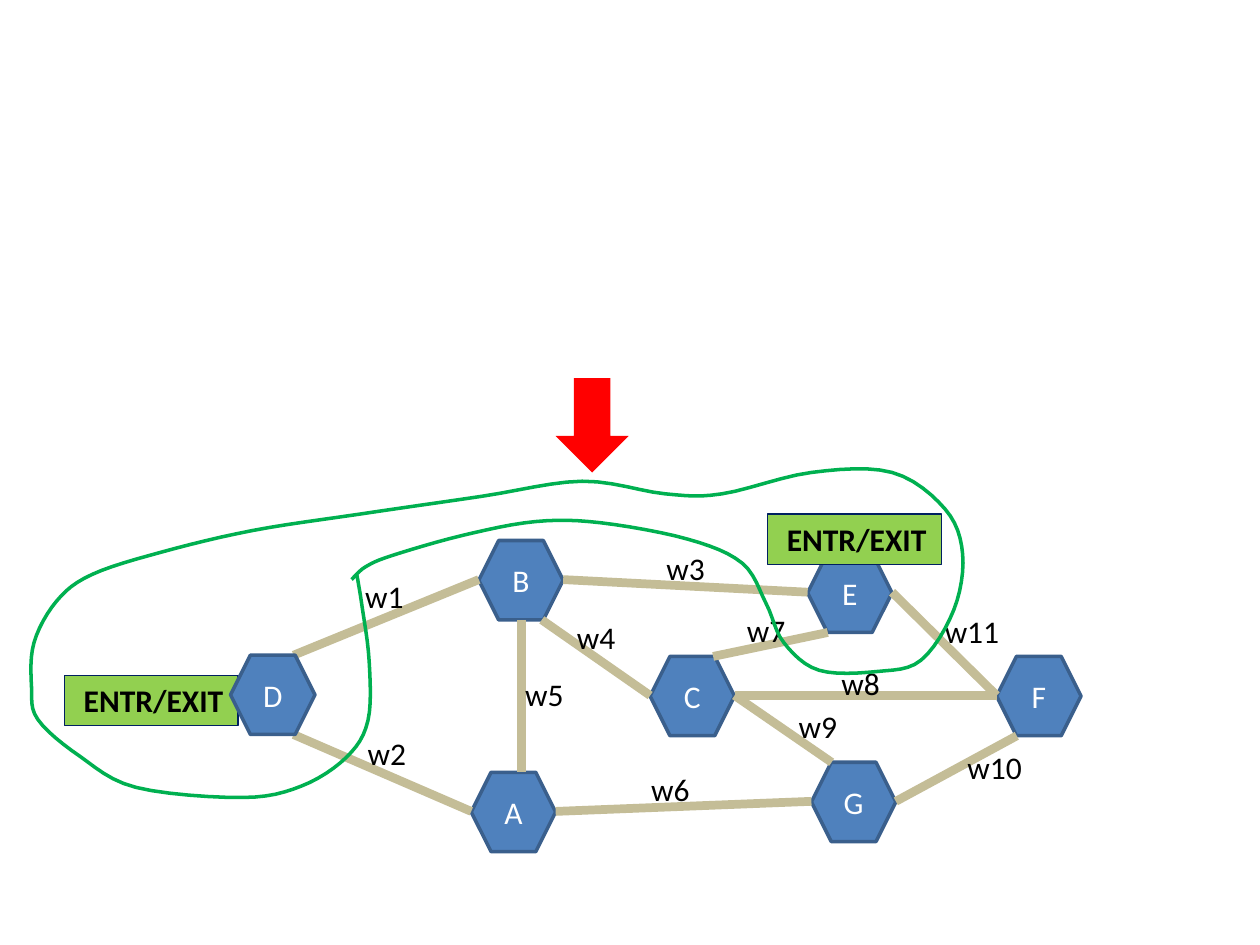
"""Build a slide with a weighted node graph and an outlined region."""
from typing import NamedTuple

from lxml.etree import SubElement
from pptx import Presentation
from pptx.dml.color import RGBColor
from pptx.enum.shapes import MSO_CONNECTOR, MSO_SHAPE
from pptx.enum.text import MSO_ANCHOR, MSO_AUTO_SIZE, PP_ALIGN
from pptx.oxml.ns import qn
from pptx.util import Emu, Pt

PX = 9144
FONT = "Calibri"
NODE_W, NODE_H = 67, 63
CURVE_STEPS = 6
COLORS = {
    "node": "4F81BD", "node_line": "3A5F8C", "edge": "C4BD97",
    "gate": "92D050", "gate_line": "002060", "arrow": "FF0000",
    "region": "00B050", "black": "000000", "white": "FFFFFF",
}
SITES = {
    "left": (0, 31), "right": (NODE_W, 31), "top": (40, 0), "bottom": (34, NODE_H),
    "top left": (16, 0), "top right": (50, 0),
    "bottom left": (16, NODE_H), "bottom right": (50, NODE_H),
}


class Spot(NamedTuple):
    text: str
    x: int
    y: int


class Edge(NamedTuple):
    start: str
    start_site: str
    end: str
    end_site: str


NODES = [
    Spot("B", 380, 429), Spot("A", 374, 613), Spot("F", 791, 521),
    Spot("C", 516, 521), Spot("G", 644, 605), Spot("E", 641, 439),
]
NODE_D = Spot("D", 183, 520)
NODE_BY_NAME = {node.text: node for node in [*NODES, NODE_D]}
EDGES = [
    Edge("D", "top right", "B", "left"), Edge("D", "bottom right", "A", "left"),
    Edge("B", "bottom", "A", "top"), Edge("F", "bottom left", "G", "right"),
    Edge("B", "right", "E", "left"), Edge("G", "left", "A", "right"),
    Edge("C", "left", "B", "bottom right"), Edge("C", "right", "G", "top left"),
    Edge("E", "bottom left", "C", "top right"), Edge("E", "right", "F", "left"),
    Edge("C", "right", "F", "left"),
]
WEIGHTS = [
    Spot("w1", 280, 453), Spot("w2", 282, 578), Spot("w8", 658, 522),
    Spot("w4", 448, 486), Spot("w3", 519, 431), Spot("w7", 583, 480),
    Spot("w5", 407, 531), Spot("w6", 507, 606), Spot("w10", 758, 589),
    Spot("w11", 740, 481), Spot("w9", 624, 556),
]
GATE_D = Spot(" ENTR/EXIT", 51, 536)
GATE_E = Spot(" ENTR/EXIT", 609, 408)
REGION = [
    (283, 455), (287, 479), (293, 525), (292, 572), (275, 601), (239, 624),
    (192, 633), (108, 625), (63, 600), (30, 571), (25, 545), (27, 510),
    (45, 477), (73, 456), (129, 438), (201, 421), (286, 408), (382, 394),
    (462, 382), (528, 392), (573, 392), (644, 375), (708, 375), (750, 404),
    (764, 440), (757, 484), (731, 524), (696, 533), (650, 532), (622, 510),
    (608, 479), (589, 447), (546, 428), (477, 415), (425, 414), (367, 425),
    (311, 441), (290, 450), (279, 460),
]


def rgb(name: str) -> RGBColor:
    return RGBColor.from_string(COLORS[name])


def add_line_style(sp, color: str, width: float) -> None:
    sp.line.color.rgb = rgb(color)
    sp.line.width = Pt(width)


def add_run(tf, text: str, color: str, bold: bool = False):
    p = tf.paragraphs[0]
    r = p.add_run()
    r.text = text
    r.font.name, r.font.size, r.font.bold = FONT, Pt(18), bold
    r.font.color.rgb = rgb(color)
    return p


def fit_text(tf) -> None:
    tf.word_wrap = False
    tf.auto_size = MSO_AUTO_SIZE.SHAPE_TO_FIT_TEXT


def add_filled(shapes, kind: MSO_SHAPE, box: tuple[int, ...], fill: str):
    sp = shapes.add_shape(kind, *(Emu(v * PX) for v in box))
    sp.shadow.inherit = False
    sp.fill.solid()
    sp.fill.fore_color.rgb = rgb(fill)
    return sp


def add_node(shapes, node: Spot) -> None:
    sp = add_filled(shapes, MSO_SHAPE.HEXAGON, (node.x, node.y, NODE_W, NODE_H), "node")
    add_line_style(sp, "node_line", 2)
    sp.text_frame.vertical_anchor = MSO_ANCHOR.MIDDLE
    add_run(sp.text_frame, node.text, "white").alignment = PP_ALIGN.CENTER


def site_point(name: str, site: str) -> tuple[int, int]:
    node, (dx, dy) = NODE_BY_NAME[name], SITES[site]
    return node.x + dx, node.y + dy


def add_edge(shapes, edge: Edge) -> None:
    ends = site_point(edge.start, edge.start_site) + site_point(edge.end, edge.end_site)
    cx = shapes.add_connector(MSO_CONNECTOR.STRAIGHT, *(Emu(v * PX) for v in ends))
    add_line_style(cx, "edge", 5)
    SubElement(cx._element.spPr, qn("a:effectLst"))


def add_weight(shapes, weight: Spot) -> None:
    w = 51 if len(weight.text) == 2 else 64
    sp = shapes.add_textbox(*(Emu(v * PX) for v in (weight.x, weight.y, w, 40)))
    fit_text(sp.text_frame)
    add_run(sp.text_frame, weight.text, "black")


def add_gate(shapes, gate: Spot) -> None:
    sp = add_filled(shapes, MSO_SHAPE.RECTANGLE, (gate.x, gate.y, 138, 40), "gate")
    add_line_style(sp, "gate_line", 0.75)
    fit_text(sp.text_frame)
    sp.text_frame.vertical_anchor = MSO_ANCHOR.TOP
    add_run(sp.text_frame, gate.text, "black", True).alignment = PP_ALIGN.LEFT


def spline(a: int, b: int, c: int, d: int, t: float) -> float:
    return b + t / 2 * (c - a + t * (2 * a - 5 * b + 4 * c - d + t * (3 * (b - c) + d - a)))


def smooth_points(points: list[tuple[int, int]]) -> list[tuple[float, float]]:
    padded = [points[0], *points, points[-1]]
    curve = [
        tuple(spline(*axis, step / CURVE_STEPS) for axis in zip(*padded[i:i + 4]))
        for i in range(len(points) - 1)
        for step in range(CURVE_STEPS)
    ]
    return [*curve, points[-1]]


def add_region(shapes, points: list[tuple[int, int]]) -> None:
    curve = [(round(x * PX), round(y * PX)) for x, y in smooth_points(points)]
    fb = shapes.build_freeform(*curve[0])
    fb.add_line_segments(curve[1:], close=False)
    sp = fb.convert_to_shape()
    sp.shadow.inherit = False
    sp.fill.background()
    add_line_style(sp, "region", 2)


def main() -> None:
    prs = Presentation()
    prs.slide_width, prs.slide_height = Emu(1000 * PX), Emu(750 * PX)
    s = prs.slides.add_slide(prs.slide_layouts[6])
    arrow = add_filled(s.shapes, MSO_SHAPE.DOWN_ARROW, (441, 300, 58, 75), "arrow")
    arrow.line.fill.background()
    graph = s.shapes.add_group_shape()
    for node in NODES:
        add_node(graph.shapes, node)
    for edge in EDGES:
        add_edge(graph.shapes, edge)
    for weight in WEIGHTS:
        add_weight(s.shapes, weight)
    add_gate(s.shapes, GATE_D)
    add_node(s.shapes, NODE_D)
    add_gate(s.shapes, GATE_E)
    add_region(s.shapes, REGION)
    prs.save("out.pptx")


if __name__ == "__main__":
    main()
